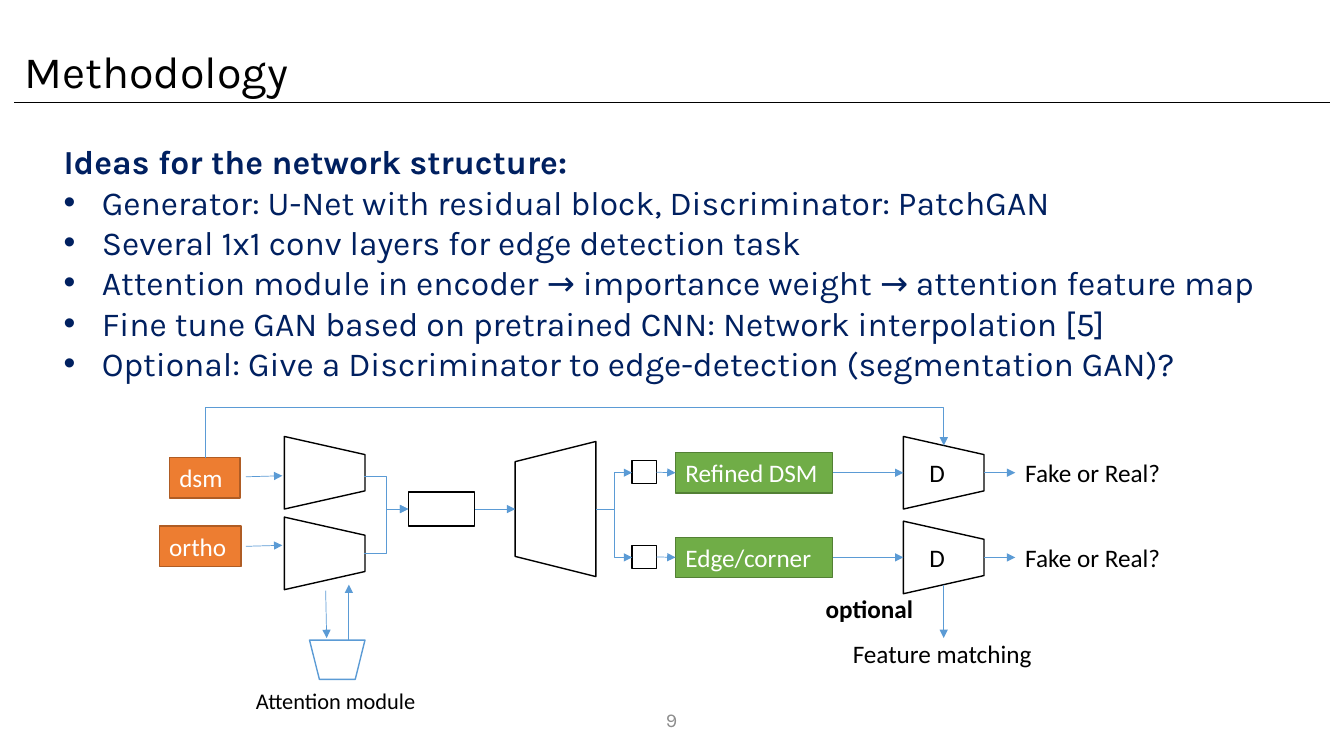
from dataclasses import dataclass

from lxml.etree import SubElement
from pptx import Presentation
from pptx.dml.color import RGBColor
from pptx.enum.shapes import MSO_CONNECTOR, MSO_SHAPE
from pptx.enum.text import MSO_ANCHOR, MSO_AUTO_SIZE, PP_ALIGN
from pptx.oxml.ns import qn
from pptx.util import Pt

PX = 9144  # 100 px to the inch


@dataclass(frozen=True)
class Theme:
    heading_font: str = "Karla"
    label_font: str = "Calibri"
    ink: str = "000000"
    paper: str = "FFFFFF"
    navy: str = "002060"
    grey: str = "8C8C8C"
    blue: str = "5B9BD5"
    orange: str = "ED7D31"
    orange_edge: str = "AF5C24"
    green: str = "70AD47"
    green_edge: str = "538035"
    title_size: int = 32
    body_size: int = 24
    label_size: int = 18
    caption_size: int = 16
    number_size: int = 14


THEME = Theme()

TITLE = "Methodology"
IDEAS_HEADING = "Ideas for the network structure:"
IDEAS = [
    "Generator: U-Net with residual block, Discriminator: PatchGAN",
    "Several 1x1 conv layers for edge detection task",
    "Attention module in encoder → importance weight → attention feature map",
    "Fine tune GAN based on pretrained CNN: Network interpolation [5]",
    "Optional: Give a Discriminator to edge-detection (segmentation GAN)?",
]
SLIDE_NUMBER = "9"

# name: (left, top, width, height)
INPUTS = {"dsm": (168, 454, 70, 40), "ortho": (158, 522, 81, 40)}
# (left, top, width, height, rotation, edge colour)
TRAPEZOIDS = [
    (286, 429, 72, 80, 90, THEME.ink),
    (286, 509, 72, 80, 90, THEME.ink),
    (484, 465, 134, 80, 270, THEME.ink),
    (307, 635, 55, 39, 180, THEME.blue),
]
BOTTLENECK = (405, 488, 66, 34)
BRANCHES = ["Refined DSM", "Edge/corner"]
BRANCH_TOP, BRANCH_STEP = 469, 84
VERDICT = "Fake or Real?"
# (text, box, size, bold)
CAPTIONS = [
    ("Attention module", (244, 677, 185, 37), THEME.caption_size, False),
    ("optional", (809, 584, 108, 40), THEME.label_size, True),
    ("Feature matching", (836, 628, 200, 40), THEME.label_size, False),
]
ARROWS = [
    ((244, 473), (280, 472)),
    ((244, 542), (280, 541)),
    ((323, 586), (324, 633)),
    ((346, 635), (346, 580)),
    ((936, 580), (936, 633)),
]
ENCODER_EXITS, DECODER_EXIT = [(361, 473), (361, 549)], (591, 505)
SKIP_START, SKIP_END, SKIP_TOP = (204, 454), (936, 442), 404


def emu(*lengths):
    return [round(length * PX) for length in lengths]


def write(paragraph, text, font=THEME.label_font, size=THEME.label_size,
          color=THEME.ink, bold=False, align=PP_ALIGN.LEFT):
    run = paragraph.add_run()
    run.text = text
    run.font.name, run.font.size, run.font.bold = font, Pt(size), bold
    run.font.color.rgb = RGBColor.from_string(color)
    paragraph.alignment = align


def set_up_frame(frame, anchor=MSO_ANCHOR.TOP):
    frame.word_wrap = True
    frame.auto_size = MSO_AUTO_SIZE.NONE
    frame.vertical_anchor = anchor
    return frame


def add_label(shapes, text, box, anchor=MSO_ANCHOR.TOP, **style):
    frame = set_up_frame(shapes.add_textbox(*emu(*box)).text_frame, anchor)
    write(frame.paragraphs[0], text, **style)


def add_block(shapes, kind, box, fill=THEME.paper, edge=THEME.ink, rotation=0):
    block = shapes.add_shape(kind, *emu(*box))
    block.shadow.inherit = False
    block.fill.solid()
    block.fill.fore_color.rgb = RGBColor.from_string(fill)
    block.line.color.rgb = RGBColor.from_string(edge)
    block.line.width = Pt(1)
    block.rotation = rotation
    return block


def add_named_block(shapes, name, box, fill, edge):
    block = add_block(shapes, MSO_SHAPE.RECTANGLE, box, fill, edge)
    write(set_up_frame(block.text_frame).paragraphs[0], name, color=THEME.paper)
    return block


def add_line(shapes, start, end, kind=MSO_CONNECTOR.STRAIGHT,
             color=THEME.blue, arrow=True):
    line = shapes.add_connector(kind, *emu(*start, *end))
    line.line.color.rgb = RGBColor.from_string(color)
    line.line.width = Pt(0.5)
    if arrow:
        SubElement(line.line._get_or_add_ln(), qn("a:tailEnd"), type="triangle")
    SubElement(line._element.spPr, qn("a:effectLst"))
    return line


def add_joined_arrow(shapes, start, end):
    """Draw an arrow; a block as an end is joined at its right or left side."""
    line = add_line(shapes, (0, 0), (PX / PX, 0))
    if isinstance(start, tuple):
        line.begin_x, line.begin_y = emu(*start)
    else:
        line.begin_connect(start, 3)
    if isinstance(end, tuple):
        line.end_x, line.end_y = emu(*end)
    else:
        line.end_connect(end, 1)


def add_skip_path(shapes, start, end, top):
    """Route from start up to top, across, and down to end."""
    (x1, y1), (x2, y2) = start, end
    cx, cy = (x1 + x2) / 2, (y1 + y2) / 2
    half_run, half_rise = (x2 - x1) / 2, (y1 - y2) / 2
    skip = add_line(shapes, (cx + half_rise, cy + half_run),
                    (cx - half_rise, cy - half_run), MSO_CONNECTOR.ELBOW)
    properties = skip._element.spPr
    properties.find(qn("a:xfrm")).set("rot", str(90 * 60000))
    guides = properties.find(qn("a:prstGeom")).find(qn("a:avLst"))
    bend = round((y1 - top) / (y1 - y2) * 100000)
    SubElement(guides, qn("a:gd"), name="adj1", fmla=f"val {bend}")


def fill_placeholders(slide):
    title, body = slide.shapes.title, slide.placeholders[1]
    for holder, box in ((title, (14, 38, 646, 64)), (body, (53, 135, 1215, 333))):
        holder.left, holder.top, holder.width, holder.height = emu(*box)
        set_up_frame(holder.text_frame)
    write(title.text_frame.paragraphs[0], TITLE, font=THEME.heading_font,
          size=THEME.title_size)
    for index, idea in enumerate([IDEAS_HEADING, *IDEAS]):
        frame = body.text_frame
        paragraph = frame.add_paragraph() if index else frame.paragraphs[0]
        write(paragraph, idea, font=THEME.heading_font, size=THEME.body_size,
              color=THEME.navy, bold=index == 0)
        paragraph.space_before = Pt(0)
        properties = paragraph._p.get_or_add_pPr()
        indent = emu(38)[0] if index else 0
        properties.set("marL", str(indent))
        properties.set("indent", str(-indent))
        if index:
            SubElement(properties, qn("a:buFont"), typeface="Arial")
            SubElement(properties, qn("a:buChar"), char="•")
        else:
            SubElement(properties, qn("a:buNone"))


def add_branch(shapes, name, y):
    """Draw one output branch, from the decoder to its discriminator's verdict."""
    head = add_block(shapes, MSO_SHAPE.RECTANGLE, (627, y - 12, 24, 23))
    output = add_named_block(shapes, name, (670, y - 20, 156, 40),
                             THEME.green, THEME.green_edge)
    critic = add_block(shapes, MSO_SHAPE.TRAPEZOID, (900, y - 40, 72, 80), rotation=90)
    frame = set_up_frame(critic.text_frame, MSO_ANCHOR.MIDDLE)
    frame._txBody.bodyPr.set("vert", "vert270")
    write(frame.paragraphs[0], "D", align=PP_ALIGN.CENTER)
    add_label(shapes, VERDICT, (1007, y - 20, 156, 40))
    add_line(shapes, DECODER_EXIT, (627, y), MSO_CONNECTOR.ELBOW)
    add_joined_arrow(shapes, head, output)
    add_joined_arrow(shapes, output, (896, y))
    add_line(shapes, (976, y), (1007, y))


def main():
    deck = Presentation()
    deck.slide_width, deck.slide_height = emu(1333, 750)
    slide = deck.slides.add_slide(deck.slide_layouts[1])
    shapes = slide.shapes
    fill_placeholders(slide)
    add_line(shapes, (14, 102), (1319, 102), color=THEME.ink, arrow=False)
    add_label(shapes, SLIDE_NUMBER, (516, 694, 300, 40), MSO_ANCHOR.MIDDLE,
              font=THEME.heading_font, size=THEME.number_size, color=THEME.grey,
              align=PP_ALIGN.CENTER)

    for *box, rotation, edge in TRAPEZOIDS:
        add_block(shapes, MSO_SHAPE.TRAPEZOID, box, edge=edge, rotation=rotation)
    for name, box in INPUTS.items():
        add_named_block(shapes, name, box, THEME.orange, THEME.orange_edge)
    bottleneck = add_block(shapes, MSO_SHAPE.RECTANGLE, BOTTLENECK)
    for encoder_exit in ENCODER_EXITS:
        add_line(shapes, encoder_exit, (405, 505), MSO_CONNECTOR.ELBOW)
    add_joined_arrow(shapes, bottleneck, (511, 505))
    for index, name in enumerate(BRANCHES):
        add_branch(shapes, name, BRANCH_TOP + index * BRANCH_STEP)
    for text, box, size, bold in CAPTIONS:
        add_label(shapes, text, box, size=size, bold=bold)
    for start, end in ARROWS:
        add_line(shapes, start, end)
    add_skip_path(shapes, SKIP_START, SKIP_END, SKIP_TOP)
    deck.save("out.pptx")


if __name__ == "__main__":
    main()
